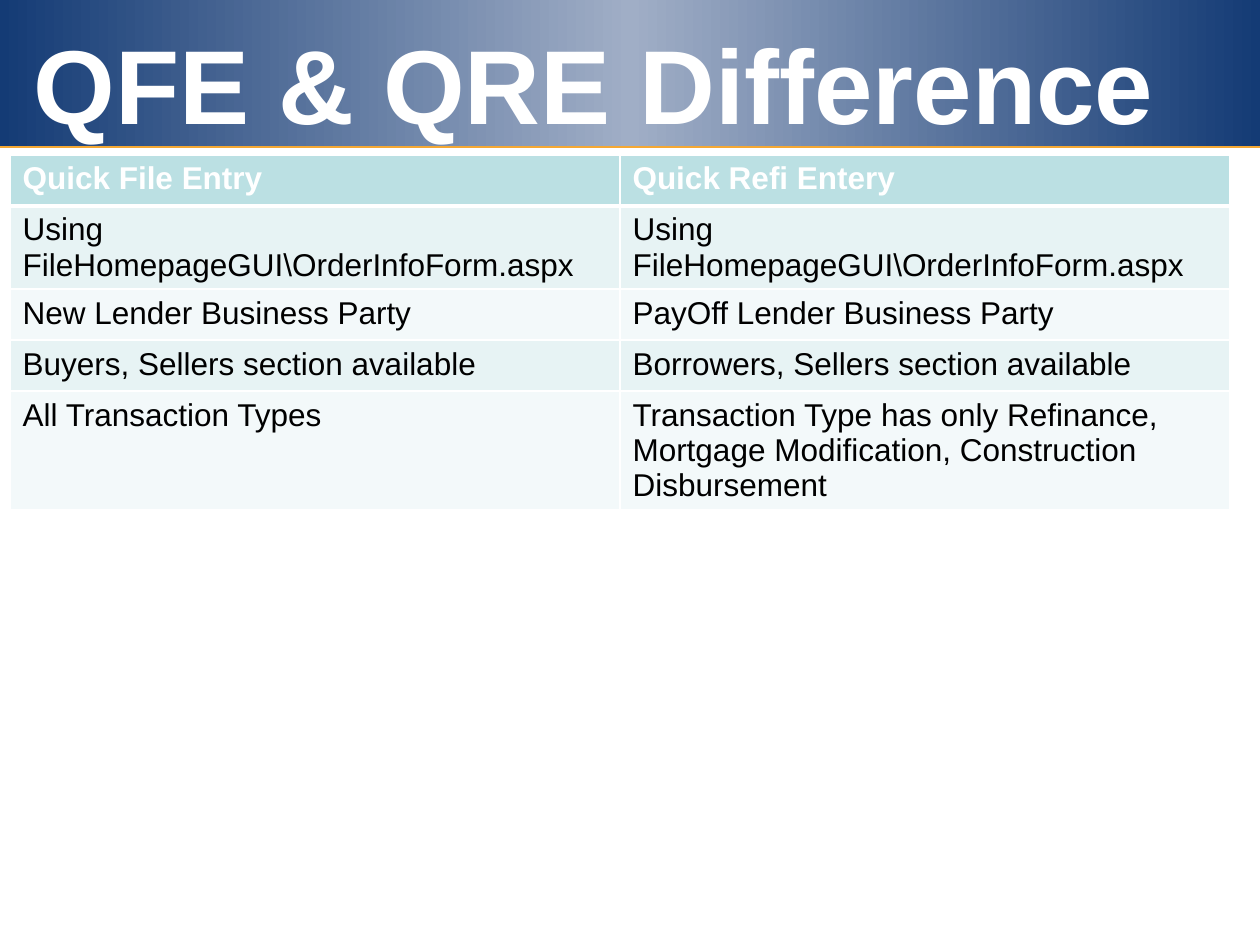
import copy

import pptx
import pptx.dml.color
import pptx.enum.shapes
import pptx.enum.text
import pptx.oxml
import pptx.oxml.ns
import pptx.util

EMU_PER_PX = 914400 / 126
COLORS = {
    "navy": "143B75",
    "haze": "A0AEC6",
    "orange": "F5A833",
    "header": "BBE0E3",
    "odd": "E7F3F4",
    "even": "F3F9FA",
    "white": "FFFFFF",
    "black": "000000",
}
ROWS = [
    ("Quick File Entry", "Quick Refi Entery"),
    ("Using FileHomepageGUI\\OrderInfoForm.aspx",) * 2,
    ("New Lender Business Party", "PayOff Lender Business Party"),
    ("Buyers, Sellers section available", "Borrowers, Sellers section available"),
    ("All Transaction Types",
     "Transaction Type has only Refinance, Mortgage Modification, Construction Disbursement"),
]


def px(*lengths):
    """Turn pixel lengths into a list of EMU."""
    return [round(length * EMU_PER_PX) for length in lengths]


def format_runs(text_frame, size, color, bold):
    for paragraph in text_frame.paragraphs:
        for run in paragraph.runs:
            run.font.name = "Arial"
            run.font.size = pptx.util.Pt(size)
            run.font.bold = bold
            run.font.color.rgb = pptx.dml.color.RGBColor.from_string(COLORS[color])


presentation = pptx.Presentation()
presentation.slide_width, presentation.slide_height = px(1260, 945)
slide = presentation.slides.add_slide(presentation.slide_layouts[5])
title = slide.shapes.title

# Banner with a three-stop gradient, and the rule under it
banner = slide.shapes.add_shape(pptx.enum.shapes.MSO_SHAPE.RECTANGLE, *px(0, 0, 1260, 147))
banner.shadow.inherit = False
banner.line.fill.background()
banner.fill.gradient()
banner.fill.gradient_angle = 0
stop_list = banner.element.spPr.find(".//" + pptx.oxml.ns.qn("a:gsLst"))
stop_list.insert(1, copy.deepcopy(stop_list[0]))
for stop, position, color in zip(banner.fill.gradient_stops, (0, 0.5, 1), ("navy", "haze", "navy")):
    stop.position = position
    stop.color.rgb = pptx.dml.color.RGBColor.from_string(COLORS[color])

rule = slide.shapes.add_connector(pptx.enum.shapes.MSO_CONNECTOR.STRAIGHT, *px(0, 147, 1260, 147))
rule.line.color.rgb = pptx.dml.color.RGBColor.from_string(COLORS["orange"])
rule.line.width = pptx.util.Pt(1.5)
rule.element.spPr.append(pptx.oxml.parse_xml(f'<a:effectLst {pptx.oxml.ns.nsdecls("a")}/>'))

# The title stands in front of the banner
for shape in (banner, rule):
    title.element.addprevious(shape.element)
title.left, title.top, title.width, title.height = px(21, 1, 1216, 110)
title.text_frame.text = "QFE & QRE Difference"
title.text_frame.auto_size = pptx.enum.text.MSO_AUTO_SIZE.NONE
title.text_frame.vertical_anchor = pptx.enum.text.MSO_ANCHOR.TOP
title.text_frame.margin_top = px(18)[0]
title.text_frame.paragraphs[0].alignment = pptx.enum.text.PP_ALIGN.LEFT
format_runs(title.text_frame, 60, "white", True)

# Comparison table
row_height = 51
table = slide.shapes.add_table(
    len(ROWS), 2, *px(10, 155, 1220, row_height * len(ROWS))).table
for row_index, texts in enumerate(ROWS):
    table.rows[row_index].height = px(row_height)[0]
    is_header = row_index == 0
    fill_color = "header" if is_header else ("even", "odd")[row_index % 2]
    border_points = {"L": 1, "R": 1, "T": 3 if row_index == 1 else 1, "B": 3 if is_header else 1}
    for column_index, text in enumerate(texts):
        cell = table.cell(row_index, column_index)
        cell.text_frame.text = text
        format_runs(cell.text_frame, 18, "white" if is_header else "black", is_header)
        properties = cell._tc.get_or_add_tcPr()
        for side, points in border_points.items():
            properties.append(pptx.oxml.parse_xml(
                f'<a:ln{side} {pptx.oxml.ns.nsdecls("a")} w="{pptx.util.Pt(points)}"><a:solidFill>'
                f'<a:srgbClr val="{COLORS["white"]}"/></a:solidFill></a:ln{side}>'))
        cell.fill.solid()
        cell.fill.fore_color.rgb = pptx.dml.color.RGBColor.from_string(COLORS[fill_color])

presentation.save("out.pptx")
